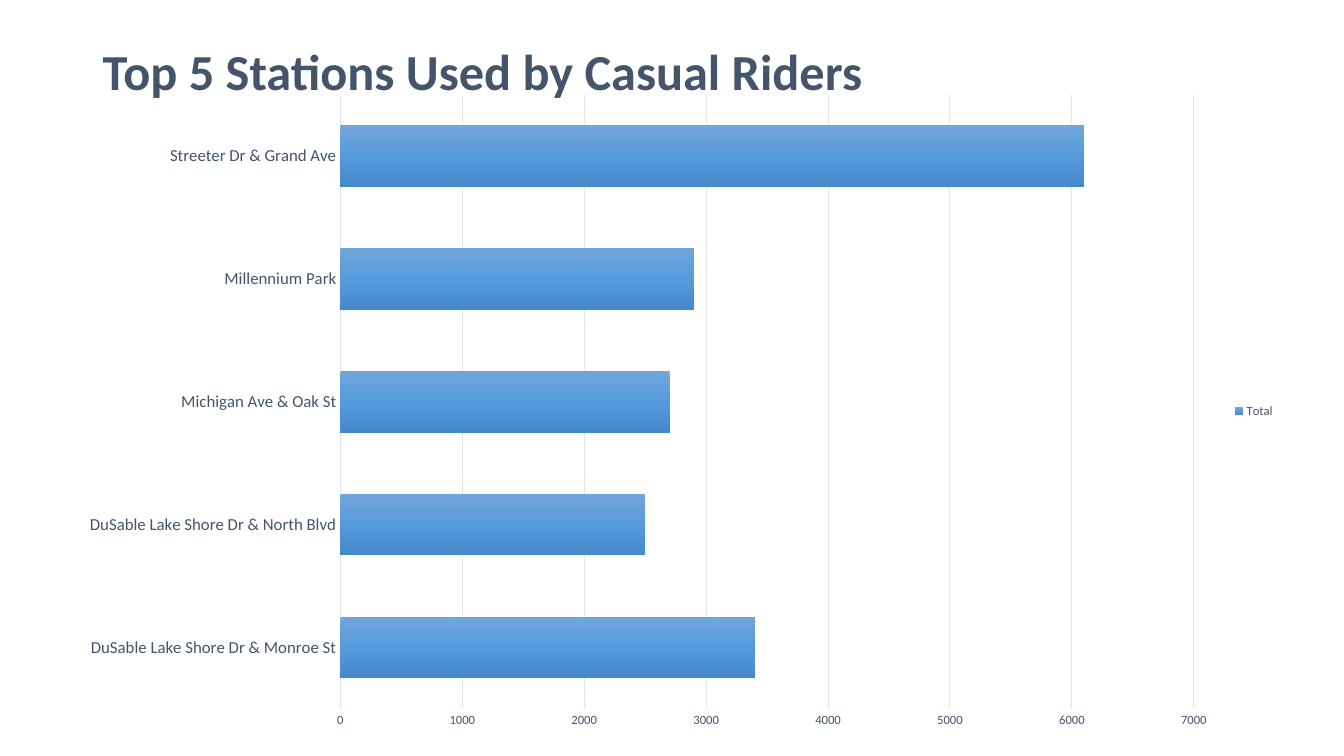
from copy import deepcopy

from pptx import Presentation
from pptx import util as u
from pptx.chart.data import CategoryChartData
from pptx.dml.color import RGBColor
from pptx.enum import chart as charts, text

FONT = "Calibri"
SLATE = "44546A"
PALE = "E0E5EB"
BAR_STOPS = [(0, "71A6DB"), (0.5, "559BDB"), (1, "448ACA")]
STATIONS = {
    "DuSable Lake Shore Dr & Monroe St": 3400,
    "DuSable Lake Shore Dr & North Blvd": 2500,
    "Michigan Ave & Oak St": 2700,
    "Millennium Park": 2900,
    "Streeter Dr & Grand Ave": 6100,
}


def color(hex_string):
    return RGBColor.from_string(hex_string)


def style_font(font, size, bold=False):
    font.name = FONT
    font.size = u.Pt(size)
    font.bold = bold
    font.color.rgb = color(SLATE)


def style_line(line):
    line.color.rgb = color(PALE)
    line.width = u.Pt(0.75)


def style_axis(axis, size):
    axis.major_tick_mark = charts.XL_TICK_MARK.NONE
    axis.minor_tick_mark = charts.XL_TICK_MARK.NONE
    style_font(axis.tick_labels.font, size)


def fill_bars(series):
    fill = series.format.fill
    fill.gradient()
    fill.gradient_angle = 270
    stop_list = series._element.xpath("./c:spPr/a:gradFill/a:gsLst")[0]
    stop_list.append(deepcopy(stop_list[-1]))
    for stop, (position, hex_string) in zip(fill.gradient_stops, BAR_STOPS):
        stop.position = position
        stop.color.rgb = color(hex_string)


def add_station_chart(slide, left, top, width, height):
    data = CategoryChartData()
    data.categories = list(STATIONS)
    data.add_series("Total", list(STATIONS.values()))
    chart = slide.shapes.add_chart(
        charts.XL_CHART_TYPE.BAR_CLUSTERED,
        u.Pt(left), u.Pt(top), u.Pt(width), u.Pt(height), data,
    ).chart
    chart.has_title = False
    style_font(chart.font, 10)

    style_axis(chart.category_axis, 12)
    style_line(chart.category_axis.format.line)
    style_axis(chart.value_axis, 9)
    chart.value_axis.format.line.fill.background()
    style_line(chart.value_axis.major_gridlines.format.line)

    chart.has_legend = True
    chart.legend.position = charts.XL_LEGEND_POSITION.RIGHT
    chart.legend.include_in_layout = False
    style_font(chart.legend.font, 9)

    plot = chart.plots[0]
    plot.gap_width = 100
    plot.vary_by_categories = False
    plot.series[0].invert_if_negative = False
    fill_bars(plot.series[0])


def place_title(slide, wording, left, top, width, height):
    title = slide.shapes.title
    title.left, title.top = u.Pt(left), u.Pt(top)
    title.width, title.height = u.Pt(width), u.Pt(height)
    frame = title.text_frame
    frame.text = wording
    frame.word_wrap = True
    frame.auto_size = text.MSO_AUTO_SIZE.NONE
    frame.vertical_anchor = text.MSO_ANCHOR.MIDDLE
    paragraph = frame.paragraphs[0]
    paragraph.alignment = text.PP_ALIGN.LEFT
    paragraph.line_spacing = 0.9
    style_font(paragraph.runs[0].font, 36, bold=True)
    title._element.getparent().append(title._element)


def main():
    presentation = Presentation()
    presentation.slide_width, presentation.slide_height = u.Pt(960), u.Pt(540)
    slide = presentation.slides.add_slide(presentation.slide_layouts[5])
    add_station_chart(slide, 46.8, 58.3, 871.2, 470.9)
    place_title(slide, "Top 5 Stations Used by Casual Riders", 66.2, 28.8, 828, 49)
    presentation.save("out.pptx")


if __name__ == "__main__":
    main()
